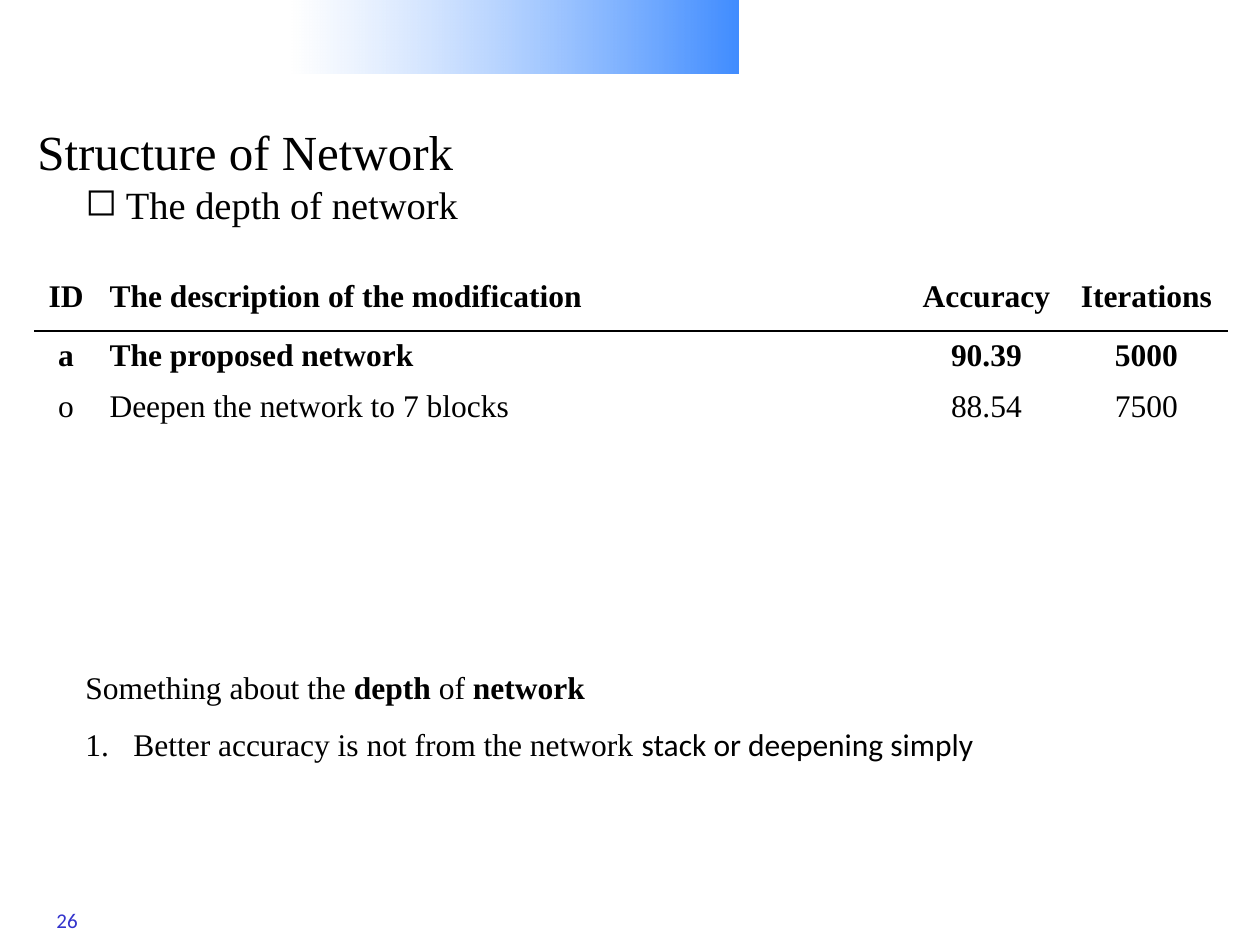
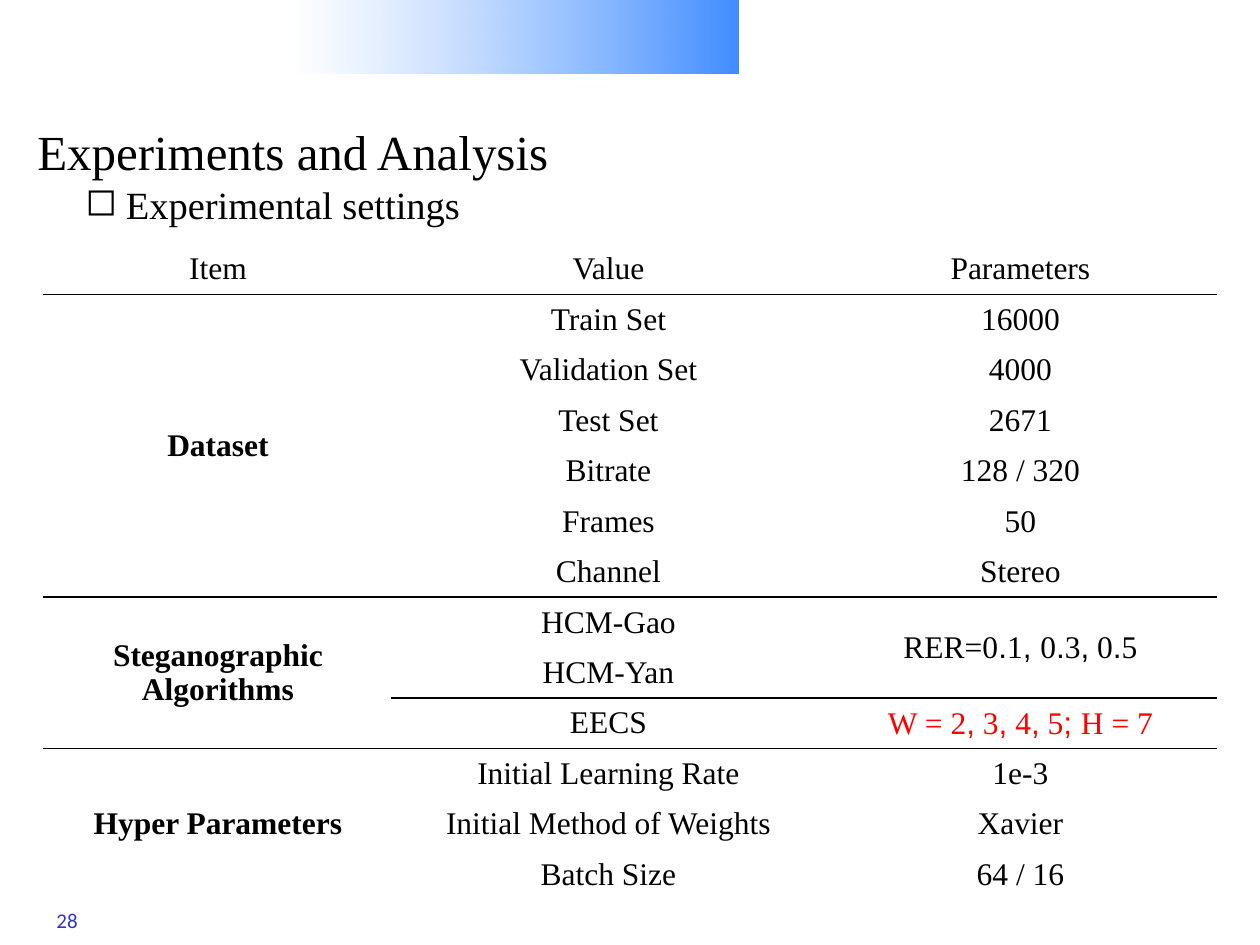
from itertools import cycle

from lxml.etree import SubElement
from pptx import Presentation
from pptx.dml.color import RGBColor
from pptx.enum.shapes import MSO_SHAPE
from pptx.enum.text import MSO_ANCHOR, PP_ALIGN
from pptx.oxml.ns import qn
from pptx.util import Pt

PX = 914400 / 126
SERIF, SANS, PUNCTUATION = "Times New Roman", "Calibri", "Arial"
BLACK, RED, NUMBER_BLUE = "000000", "FF0000", "3333CC"
BAND_STOPS = [("FFFFFF", 48), ("0066FF", 75)]

BAND_AT = (292, 0, 447, 74)
TITLE_AT = (25, 107, 1235, 87)
TOPIC_AT = (73, 175, 1063, 59)
REMARKS_AT = (73, 662, 935, 108)
NUMBER_AT = (44, 901, 59, 38)

TITLE = {"size": Pt(28), "name": SERIF}
TOPIC = {"size": Pt(22), "name": SERIF}
BODY = {"size": Pt(18), "name": SERIF}
NUMBER = {"size": Pt(12), "name": SANS, "color": NUMBER_BLUE}

SLIDES = [
    {
        "number": "26",
        "title": "Structure of Network",
        "topic": "The depth of network",
        "table": {
            "at": (35, 262),
            "columns": [62, 810, 159, 161],
            "row_heights": [69, 50, 50],
            "left_column": 1,
            "bold": (range(2), range(4)),
            "rules": {1: 0},
            "cells": [
                ("ID", "The description of the modification", "Accuracy", "Iterations"),
                ("a", "The proposed network", "90.39", "5000"),
                ("o", "Deepen the network to 7 blocks", "88.54", "7500"),
            ],
        },
        "remarks": [
            ("Something about the| depth |of| network", {"bold": True}),
            ("Better accuracy is not from the network |stack or deepening simply", {"name": SANS}),
        ],
    },
    {
        "number": "28",
        "title": "Experiments and Analysis",
        "topic": "Experimental settings",
        "table": {
            "at": (44, 244),
            "columns": [348, 433, 391],
            "row_heights": [655 / 13] * 13,
            "left_column": None,
            "bold": (range(1, 13), range(1)),
            "rules": {1: 0, 7: 0, 9: 1, 10: 0},
            "red_row": 9,
            "cells": [
                ("Item", "Value", "Parameters"),
                ("Dataset", "Train Set", "16000"),
                (None, "Validation Set", "4000"),
                (None, "Test Set", "2671"),
                (None, "Bitrate", "128 / 320"),
                (None, "Frames", "50"),
                (None, "Channel", "Stereo"),
                ("Steganographic\nAlgorithms", "HCM-Gao", "RER=0|.|1|, |0|.|3|,| 0|.|5"),
                (None, "HCM-Yan", None),
                (None, "EECS", "W = 2|,| 3|,| 4|,| 5|; |H = 7"),
                ("Hyper Parameters", "Initial Learning Rate", "1e-3"),
                (None, "Initial Method of Weights", "Xavier"),
                (None, "Batch Size", "64 / 16"),
            ],
        },
        "remarks": [],
    },
]


def px(*lengths):
    return [round(length * PX) for length in lengths]


def rgb(color):
    return RGBColor.from_string(color)


def write(paragraph, text, style, alternate=None):
    styles = cycle([style, {**style, **(alternate or {})}])
    for part, values in zip(text.split("|"), styles):
        run = paragraph.add_run()
        run.text = part
        for key, value in {"color": BLACK, **values}.items():
            if key == "color":
                run.font.color.rgb = rgb(value)
            else:
                setattr(run.font, key, value)


def add_text_frame(slide, at, anchor=MSO_ANCHOR.TOP):
    frame = slide.shapes.add_textbox(*px(*at)).text_frame
    for key, value in {"word_wrap": True, "vertical_anchor": anchor}.items():
        setattr(frame, key, value)
    return frame


def add_bullet(paragraph, indent, tag, **attributes):
    properties = paragraph._p.get_or_add_pPr()
    margin = px(indent)[0]
    properties.set("marL", str(margin))
    properties.set("indent", str(-margin))
    SubElement(properties, qn(tag), **attributes)


def add_band(slide):
    band = slide.shapes.add_shape(MSO_SHAPE.RECTANGLE, *px(*BAND_AT))
    band.shadow.inherit = False
    band.line.fill.background()
    band.fill.gradient()
    band.fill.gradient_angle = 0
    for stop, (color, opacity) in zip(band.fill.gradient_stops, BAND_STOPS):
        stop.color.rgb = rgb(color)
    for color, (_, opacity) in zip(band._element.spPr.iter(qn("a:srgbClr")), BAND_STOPS):
        SubElement(color, qn("a:alpha"), val=str(opacity * 1000))


def add_rule(cell, edge):
    line = SubElement(cell._tc.get_or_add_tcPr(), qn(edge), w=str(Pt(1)))
    fill = SubElement(line, qn("a:solidFill"))
    SubElement(fill, qn("a:srgbClr"), val=BLACK)


def span_height(cells, row, column):
    height = 1
    while row + height < len(cells) and cells[row + height][column] is None:
        height += 1
    return height


def add_table(slide, content):
    cells, columns, heights = (content[key] for key in ("cells", "columns", "row_heights"))
    at = px(*content["at"], sum(columns), sum(heights))
    table = slide.shapes.add_table(len(cells), len(columns), *at).table
    table.first_row = table.horz_banding = False
    for column, width in zip(table.columns, px(*columns)):
        column.width = width
    for row, height in zip(table.rows, px(*heights)):
        row.height = height
    bold_rows, bold_columns = content["bold"]
    for r, row in enumerate(cells):
        for c, text in enumerate(row):
            cell = table.cell(r, c)
            height = 1 if text is None else span_height(cells, r, c)
            for edge, boundary in (("a:lnT", r), ("a:lnB", r + height)):
                if c >= content["rules"].get(boundary, len(columns)):
                    add_rule(cell, edge)
            cell.fill.background()
            if text is None:
                continue
            if height > 1:
                cell.merge(table.cell(r + height - 1, c))
            cell.vertical_anchor = MSO_ANCHOR.MIDDLE
            red = r == content.get("red_row") and c == len(columns) - 1
            style = {
                **BODY,
                "bold": r in bold_rows and c in bold_columns,
                "color": RED if red else BLACK,
            }
            frame = cell.text_frame
            for i, line in enumerate(text.split("\n")):
                paragraph = frame.add_paragraph() if i else frame.paragraphs[0]
                left = c == content["left_column"]
                paragraph.alignment = PP_ALIGN.LEFT if left else PP_ALIGN.CENTER
                write(paragraph, line, style, {"name": PUNCTUATION})


def add_remarks(slide, remarks):
    frame = add_text_frame(slide, REMARKS_AT)
    lead, point = frame.paragraphs[0], frame.add_paragraph()
    for paragraph, (text, alternate) in zip((lead, point), remarks):
        write(paragraph, text, BODY, alternate)
    point.line_spacing = 1.5
    add_bullet(point, 48, "a:buAutoNum", type="arabicPeriod")


def build_slide(deck, content):
    slide = deck.slides.add_slide(deck.slide_layouts[6])
    add_band(slide)
    write(add_text_frame(slide, NUMBER_AT).paragraphs[0], content["number"], NUMBER)
    topic = add_text_frame(slide, TOPIC_AT).paragraphs[0]
    add_bullet(topic, 24, "a:buChar", char="◻")
    write(topic, " |" + content["topic"], {**TOPIC, "name": SANS}, TOPIC)
    add_table(slide, content["table"])
    if content["remarks"]:
        add_remarks(slide, content["remarks"])
    title = add_text_frame(slide, TITLE_AT, MSO_ANCHOR.MIDDLE)
    write(title.paragraphs[0], content["title"], TITLE)


def main():
    deck = Presentation()
    deck.slide_width, deck.slide_height = px(1260, 945)
    for content in SLIDES:
        build_slide(deck, content)
    deck.save("out.pptx")


if __name__ == "__main__":
    main()
